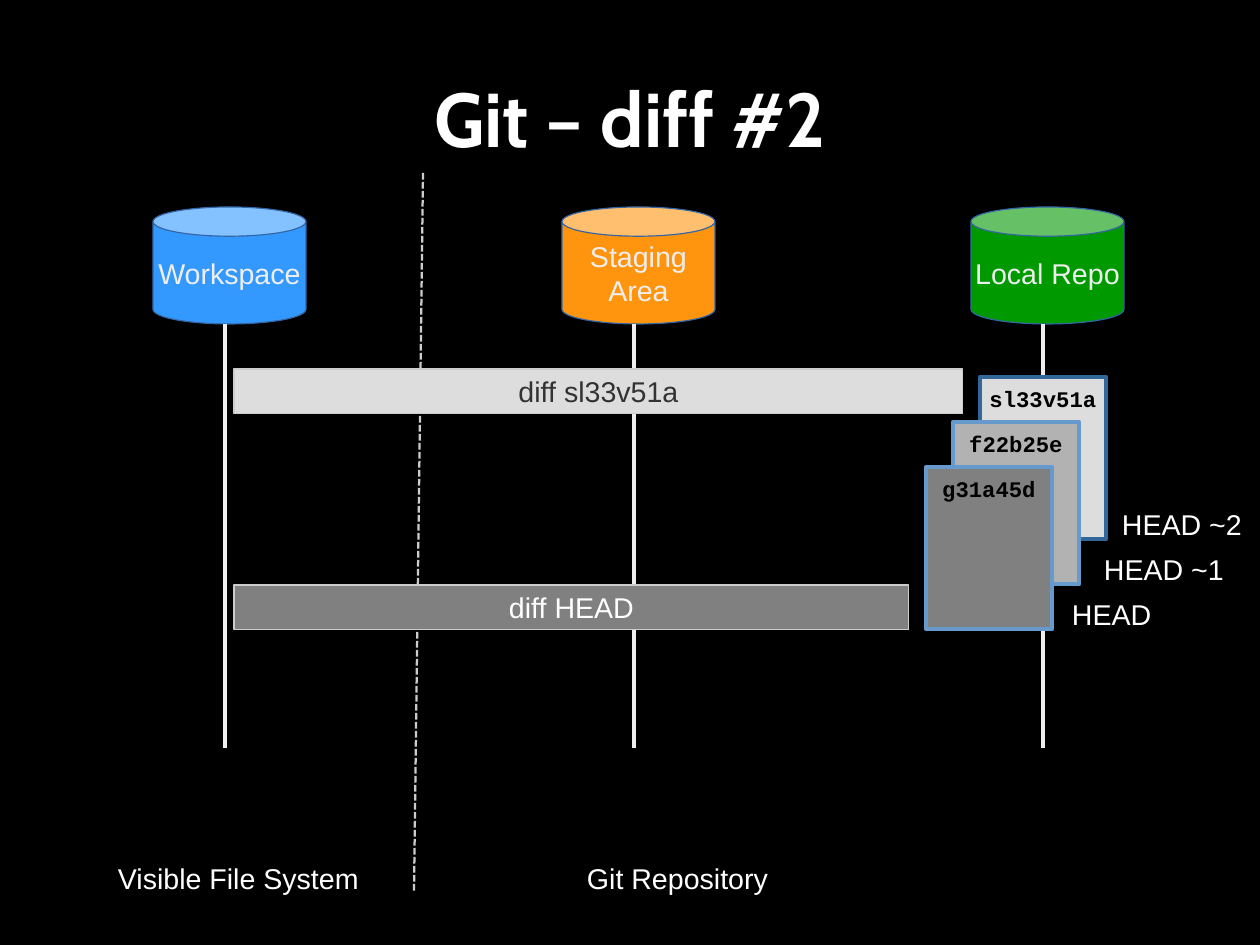
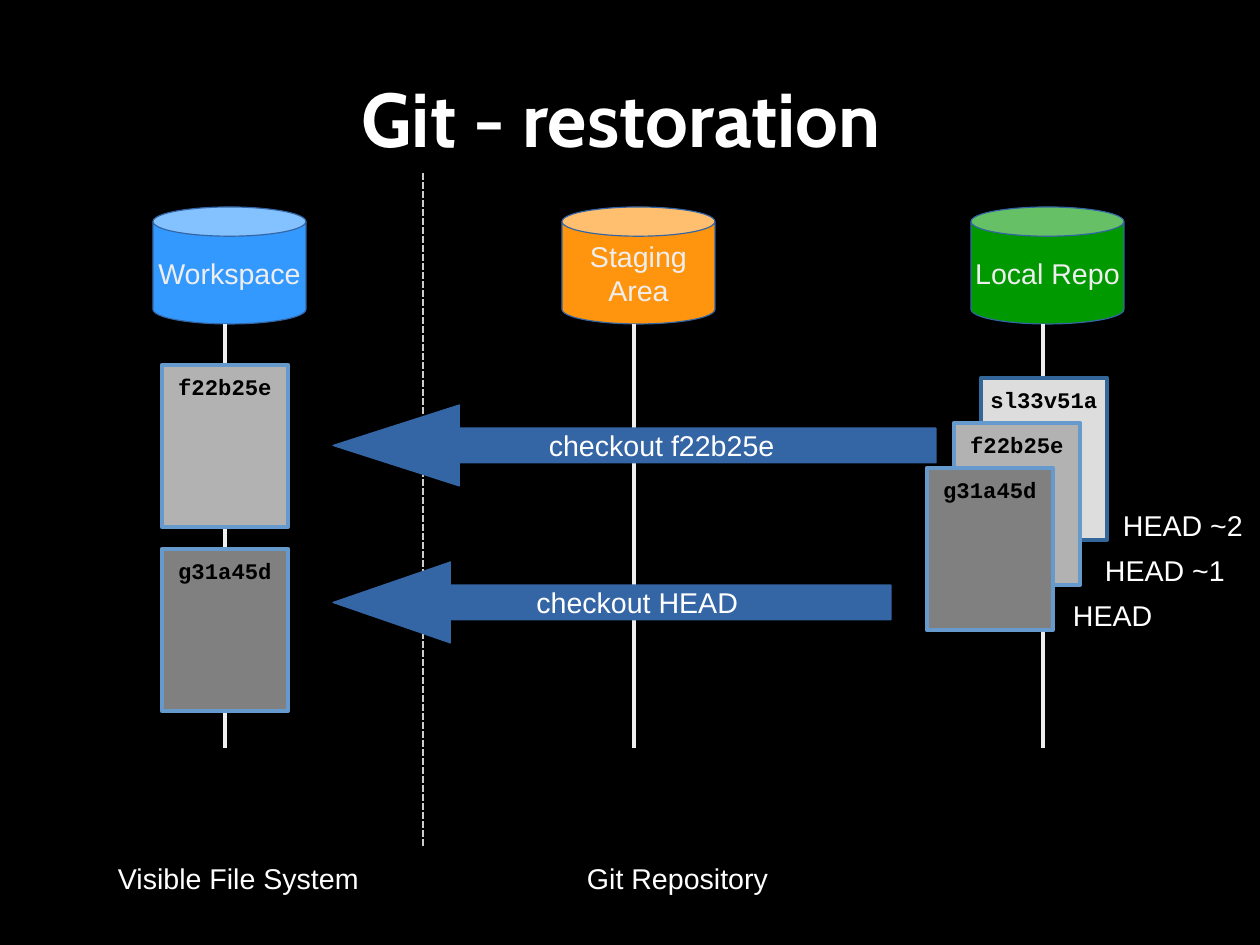
from pptx import Presentation
from pptx.dml.color import RGBColor
from pptx.enum.dml import MSO_LINE
from pptx.enum.shapes import MSO_CONNECTOR, MSO_SHAPE
from pptx.enum.text import MSO_ANCHOR, MSO_AUTO_SIZE, PP_ALIGN
from pptx.oxml.ns import qn
from pptx.util import Emu, Pt
from lxml import etree

# Shared style
PX = 8000  # EMU per pixel
WIDTH, HEIGHT = 1260, 945
SANS, MONO, TITLE_FONT = "Arial", "Courier New", "Cabin"
BLACK, WHITE, PALE, RULE, BLUE = "000000", "FFFFFF", "EEEEEE", "CCCCCC", "3465A4"
PADDING, CARD_PADDING = (11, 6), (14, 8)

# Shared content
STORES = [("Workspace", "3399FF"), ("Staging\nArea", "FF950E"), ("Local Repo", "009900")]
STORE_LEFT, STORE_TOP, STORE_W, STORE_H, STORE_STEP = 153, 207, 153, 117, 409
LIFELINE_OFFSET, LIFELINE_LENGTH = 72, 424
ZONES = [("Visible File System", 107, 263), ("Git Repository", 576, 203)]
ZONE_TOP, LABEL_H = 855, 43

# Commits: fill, border
COMMITS = {
    "sl33v51a": ("DDDDDD", "336699"),
    "f22b25e": ("B2B2B2", "6699CC"),
    "g31a45d": ("808080", "6699CC"),
}
CARD_W, CARD_H = 126, 162
STACK_DX, STACK_DY = -27, 45
# Revision names: text, offset from stack left, width
REVISIONS = [("HEAD ~2", 131, 143), ("HEAD ~1", 113, 143), ("HEAD", 81, 102)]
REVISION_DROP = 124

# Content of each slide
SLIDES = [
    {
        "title": "Git – diff #2",
        "divider_end": (414, 892),
        "stack": (980, 377),
        # text, top, width, fill, text colour
        "diffs": [("diff HEAD", 585, 675, "808080", WHITE),
                  ("diff sl33v51a", 369, 729, "DDDDDD", "333333")],
    },
    {
        "title": "Git - restoration ",
        "divider_end": (423, 846),
        "stack": (981, 378),
        # text, top, width, head length
        "checkouts": [("checkout f22b25e", 405, 603, 1.56),
                      ("checkout HEAD", 562, 558, 1.45)],
        # commit, top
        "restored": [("f22b25e", 365), ("g31a45d", 549)],
    },
]
DIVIDER_START = (423, 173)
DIFF_LEFT, DIFF_H = 234, 45
CHECKOUT_LEFT, CHECKOUT_H, SHAFT = 333, 81, 0.43
RESTORED_LEFT = 162


def rgb(colour):
    return RGBColor.from_string(colour)


def box(*lengths):
    return [Emu(length * PX) for length in lengths]


def write(shape, text, colour, size=18, font=SANS, bold=False,
          align=PP_ALIGN.CENTER, anchor=MSO_ANCHOR.MIDDLE, padding=PADDING, wrap=False):
    frame = shape.text_frame
    frame.text = text
    frame.word_wrap = wrap
    frame.vertical_anchor = anchor
    frame.margin_left = frame.margin_right = Emu(padding[0] * PX)
    frame.margin_top = frame.margin_bottom = Emu(padding[1] * PX)
    for paragraph in frame.paragraphs:
        paragraph.alignment = align
        paragraph.font.size, paragraph.font.name = Pt(size), font
        paragraph.font.bold = bold
        paragraph.font.color.rgb = rgb(colour)


def add_block(slide, preset, place, fill, border, border_width=0):
    block = slide.shapes.add_shape(preset, *box(*place))
    block.shadow.inherit = False
    block.fill.solid()
    block.fill.fore_color.rgb = rgb(fill)
    block.line.color.rgb = rgb(border)
    block.line.width = Pt(border_width)
    return block


def add_line(slide, start, end, colour, width):
    line = slide.shapes.add_connector(MSO_CONNECTOR.STRAIGHT, *box(*start, *end))
    etree.SubElement(line.element.spPr, qn("a:effectLst"))
    line.line.color.rgb = rgb(colour)
    line.line.width = Pt(width)
    return line


def add_label(slide, text, left, top, width):
    label = slide.shapes.add_textbox(*box(left, top, width, LABEL_H))
    write(label, text, WHITE, align=PP_ALIGN.LEFT, anchor=MSO_ANCHOR.TOP)
    label.text_frame.auto_size = MSO_AUTO_SIZE.SHAPE_TO_FIT_TEXT


def add_card(slide, commit, left, top):
    fill, border = COMMITS[commit]
    card = add_block(slide, MSO_SHAPE.RECTANGLE, (left, top, CARD_W, CARD_H),
                     fill, border, 2.83)
    write(card, commit, BLACK, 14, MONO, True, anchor=MSO_ANCHOR.TOP, padding=CARD_PADDING)


def add_frame(slide, title, divider_end):
    heading = slide.shapes.add_textbox(*box(63, 38, 1134, 158))
    write(heading, title, WHITE, 48, TITLE_FONT, True, padding=(0, 0), wrap=True)
    # Stores with their lifelines
    for i, (name, fill) in enumerate(STORES):
        left = STORE_LEFT + i * STORE_STEP
        store = add_block(slide, MSO_SHAPE.CAN, (left, STORE_TOP, STORE_W, STORE_H), fill, BLUE)
        store.adjustments[0] = 0.25
        write(store, name, PALE)
        x, y = left + LIFELINE_OFFSET, STORE_TOP + STORE_H
        add_line(slide, (x, y), (x, y + LIFELINE_LENGTH), PALE, 2.83)
    # Border between file system and repository
    divider = add_line(slide, DIVIDER_START, divider_end, RULE, 1.42)
    divider.line.dash_style = MSO_LINE.SQUARE_DOT
    for text, left, width in ZONES:
        add_label(slide, text, left, ZONE_TOP, width)


def add_history(slide, left, top):
    for i, commit in enumerate(COMMITS):
        add_card(slide, commit, left + i * STACK_DX, top + i * STACK_DY)
    for i, (text, offset, width) in enumerate(REVISIONS):
        add_label(slide, text, left + offset, top + REVISION_DROP + i * STACK_DY, width)


def build_slide(prs, content):
    slide = prs.slides.add_slide(prs.slide_layouts[6])
    add_frame(slide, content["title"], content["divider_end"])
    add_history(slide, *content["stack"])
    for text, top, width, fill, colour in content.get("diffs", []):
        diff = add_block(slide, MSO_SHAPE.RECTANGLE, (DIFF_LEFT, top, width, DIFF_H), fill, RULE)
        write(diff, text, colour)
    for text, top, width, head in content.get("checkouts", []):
        checkout = add_block(slide, MSO_SHAPE.LEFT_ARROW,
                             (CHECKOUT_LEFT, top, width, CHECKOUT_H), BLUE, BLUE)
        checkout.adjustments[0], checkout.adjustments[1] = SHAFT, head
        write(checkout, text, WHITE)
    for commit, top in content.get("restored", []):
        add_card(slide, commit, RESTORED_LEFT, top)


def main():
    prs = Presentation()
    prs.slide_width, prs.slide_height = box(WIDTH, HEIGHT)
    backdrop = prs.slide_master.background.fill
    backdrop.solid()
    backdrop.fore_color.rgb = rgb(BLACK)
    for content in SLIDES:
        build_slide(prs, content)
    prs.save("out.pptx")


if __name__ == "__main__":
    main()
